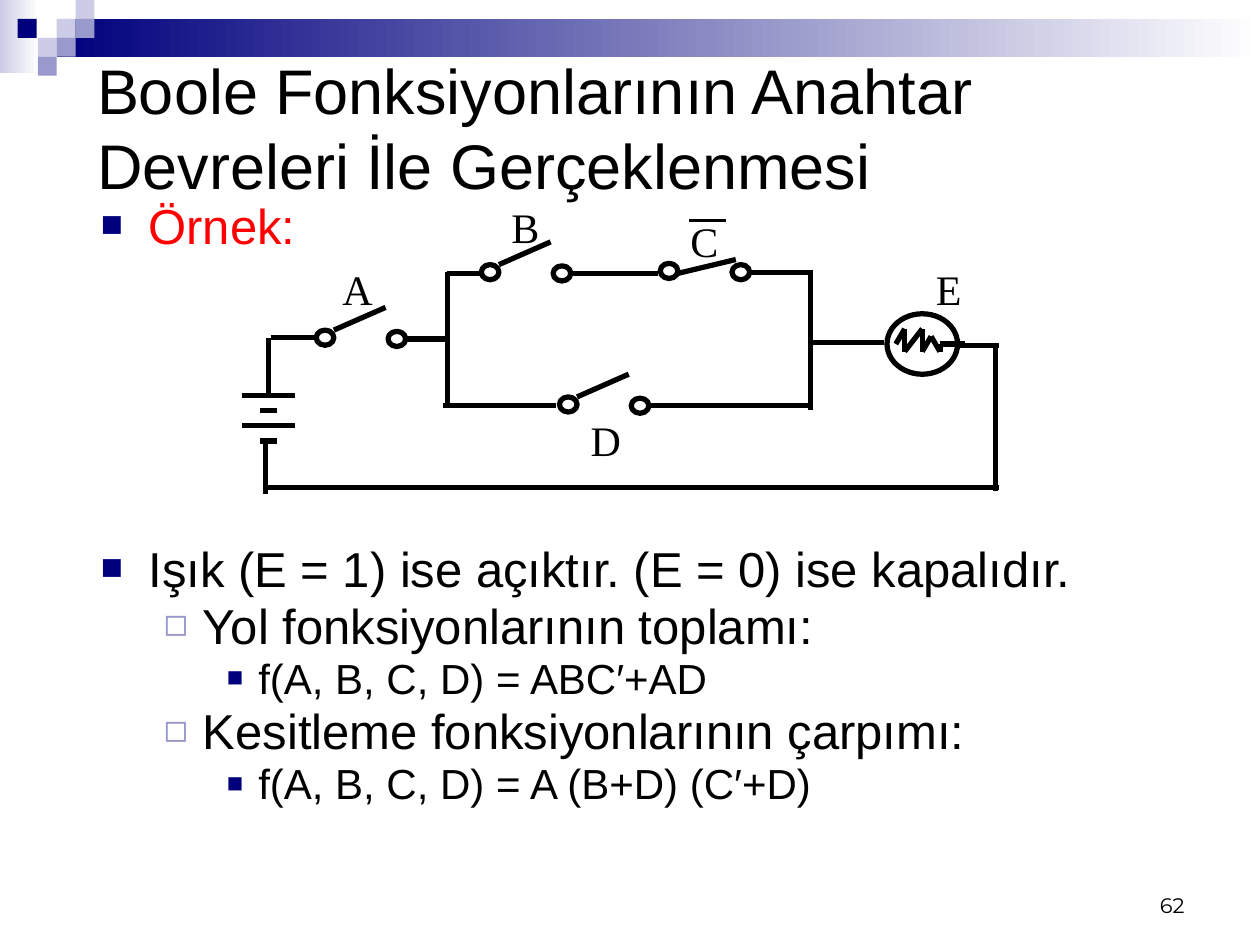
from dataclasses import dataclass
from itertools import pairwise

from lxml.etree import SubElement
from pptx import Presentation
from pptx.dml.color import RGBColor
from pptx.enum.shapes import MSO_CONNECTOR as Connector, MSO_SHAPE as Preset
from pptx.enum.text import MSO_ANCHOR as Anchor, MSO_AUTO_SIZE as AutoSize, PP_ALIGN as Align
from pptx.oxml.ns import qn
from pptx.util import Pt

SCALE = 9144


@dataclass(frozen=True)
class Theme:
    navy: str = "00007D"
    violet: str = "9999CC"
    lavender: str = "CCCCE6"
    white: str = "FFFFFF"
    ink: str = "000000"
    red: str = "FF0000"
    sans: str = "Arial"
    serif: str = "Times New Roman"
    number: str = "Montserrat"
    title_size: int = 36
    body_size: int = 28
    formula_size: int = 24
    label_size: int = 24
    number_size: int = 12
    wire: float = 3
    bar: float = 2.25


THEME = Theme()

BULLETS = [
    ("■", THEME.navy, 75, 38, 38, THEME.body_size),
    ("◻", THEME.violet, 80, 81, 31, THEME.body_size),
    ("■", THEME.navy, 65, 125, 25, THEME.formula_size),
]

BODY = [
    (0, "Örnek:", THEME.red, None),
    (0, "Işık (E = 1) ise açıktır. (E = 0) ise kapalıdır.", THEME.ink, 169),
    (1, "Yol fonksiyonlarının toplamı:", THEME.ink, None),
    (2, "f(A, B, C, D) = ABC′+AD", THEME.ink, None),
    (1, "Kesitleme fonksiyonlarının çarpımı:", THEME.ink, None),
    (2, "f(A, B, C, D) = A (B+D) (C′+D)", THEME.ink, None),
]

OPEN_LEVER = (14, 0, 55, -18)
CLOSED_LEVER = (14, 8, 60, -3)
SWITCHES = [
    (61, 112, OPEN_LEVER),
    (192, 60, OPEN_LEVER),
    (334, 59, CLOSED_LEVER),
    (254, 165, OPEN_LEVER),
]
LABELS = [
    ("A", 72, 54, 44), ("B", 206, 5, 42), ("C", 348, 16, 42),
    ("D", 269, 174, 44), ("E", 543, 54, 41),
]
WIRES = [
    (165, 66, 165, 173), (130, 119, 166, 119), (25, 118, 60, 118),
    (191, 67, 165, 67), (263, 67, 332, 67), (406, 66, 453, 66),
    (453, 64, 453, 175), (251, 172, 162, 172), (324, 172, 454, 172),
    (512, 122, 454, 122), (571, 124, 603, 124), (600, 124, 600, 240),
    (603, 237, 21, 237), (23, 164, 23, 118), (21, 202, 21, 242),
]
FILAMENT = [
    (0, 12), (7, 0), (7, 18), (21, 0), (21, 18), (28, 6), (35, 18), (35, 12), (55, 12),
]


def px(*lengths):
    return [length * SCALE for length in lengths]


def color(value):
    return RGBColor.from_string(value)


def add_run(paragraph, text, font, size, ink):
    run = paragraph.add_run()
    run.text = text
    run.font.name = font
    run.font.size = Pt(size)
    run.font.color.rgb = color(ink)


def place(shape, box):
    shape.left, shape.top, shape.width, shape.height = px(*box)


def add_block(slide, box, fill, fade=None):
    shape = slide.shapes.add_shape(Preset.RECTANGLE, *px(*box))
    shape.shadow.inherit = False
    shape.line.fill.background()
    if fade:
        shape.fill.gradient()
        shape.fill.gradient_angle = 0
        for stop, value in zip(shape.fill.gradient_stops, (fill, fade)):
            stop.color.rgb = color(value)
    else:
        shape.fill.solid()
        shape.fill.fore_color.rgb = color(fill)


def add_wire(slide, left, top, ends, width=THEME.wire):
    x1, y1, x2, y2 = ends
    wire = slide.shapes.add_connector(
        Connector.STRAIGHT, *px(left + x1, top + y1, left + x2, top + y2))
    wire.line.color.rgb = color(THEME.ink)
    wire.line.width = Pt(width)
    SubElement(wire.element.find(qn("p:spPr")), qn("a:effectLst"))


def add_ring(slide, box):
    ring = slide.shapes.add_shape(Preset.OVAL, *px(*box))
    ring.shadow.inherit = False
    ring.fill.background()
    ring.line.color.rgb = color(THEME.ink)
    ring.line.width = Pt(THEME.wire)


def add_switch(slide, left, top, lever):
    for x, y in ((0, 0), (57, 1)):
        add_ring(slide, (left + x, top + y, 14, 12))
    add_wire(slide, left, top, lever)


def add_battery(slide, left, top):
    for row in range(4):
        inset = 14 * (row % 2)
        add_wire(slide, left, top, (inset, 12 * row, 42 - inset, 12 * row))


def add_lamp(slide, left, top):
    add_ring(slide, (left, top, 56, 48))
    for start, end in pairwise(FILAMENT):
        add_wire(slide, left + 7, top + 12, start + end)


def add_label(slide, text, box):
    label = slide.shapes.add_textbox(*px(*box))
    label.text_frame.word_wrap = False
    add_run(label.text_frame.paragraphs[0], text, THEME.serif, THEME.label_size, THEME.ink)


def add_circuit(slide, left, top):
    add_lamp(slide, left + 514, top + 99)
    add_battery(slide, left + 2, top + 164)
    for x, y, lever in SWITCHES:
        add_switch(slide, left + x, top + y, lever)
    for ends in WIRES:
        add_wire(slide, left, top, ends)
    for text, x, y, width in LABELS:
        add_label(slide, text, (left + x, top + y, width, 50))
    add_wire(slide, left, top, (357, 25, 386, 25), THEME.bar)


def add_banner(slide, left, top):
    add_block(slide, (left, top, 31, 58), THEME.lavender, THEME.white)
    add_block(slide, (left + 45, top + 15, 955, 30), THEME.navy, THEME.white)
    for x, y, fill in (
        (45, 15, THEME.lavender), (60, 0, THEME.lavender), (60, 15, THEME.violet),
        (30, 30, THEME.lavender), (14, 15, THEME.navy), (45, 30, THEME.violet),
        (30, 45, THEME.violet),
    ):
        add_block(slide, (left + x, top + y, 15, 15), fill)


def add_page_number(slide, box):
    number = slide.shapes.add_textbox(*px(*box))
    frame = number.text_frame
    frame.word_wrap = True
    frame.vertical_anchor = Anchor.BOTTOM
    frame.paragraphs[0].alignment = Align.RIGHT
    add_run(frame.paragraphs[0], "62", THEME.number, THEME.number_size, THEME.ink)


def bring_forward(shape):
    shape.element.getparent().append(shape.element)


def fill_title(title, box):
    place(title, box)
    bring_forward(title)
    frame = title.text_frame
    frame.auto_size = AutoSize.NONE
    frame.vertical_anchor = Anchor.MIDDLE
    paragraph = frame.paragraphs[0]
    paragraph.alignment = Align.LEFT
    add_run(paragraph, "Boole Fonksiyonlarının Anahtar Devreleri İle Gerçeklenmesi",
            THEME.sans, THEME.title_size, THEME.ink)


def set_bullet(paragraph, character, fill, percent, margin, hanging):
    properties = paragraph._p.get_or_add_pPr()
    properties.set("marL", str(margin * SCALE))
    properties.set("indent", str(-hanging * SCALE))
    bullet_color = SubElement(properties, qn("a:buClr"))
    SubElement(bullet_color, qn("a:srgbClr"), val=fill)
    SubElement(properties, qn("a:buSzPct"), val=str(percent * 1000))
    SubElement(properties, qn("a:buChar"), char=character)


def fill_body(body, box):
    place(body, box)
    bring_forward(body)
    frame = body.text_frame
    frame.auto_size = AutoSize.NONE
    for index, (level, text, ink, gap) in enumerate(BODY):
        paragraph = frame.add_paragraph() if index else frame.paragraphs[0]
        paragraph.level = level
        paragraph.line_spacing = 0.8
        if gap:
            paragraph.space_before = Pt(gap)
        *bullet, size = BULLETS[level]
        set_bullet(paragraph, *bullet)
        add_run(paragraph, text, THEME.sans, size, ink)


def main():
    presentation = Presentation()
    presentation.slide_width, presentation.slide_height = px(1000, 750)
    slide = presentation.slides.add_slide(presentation.slide_layouts[1])
    add_banner(slide, 0, 0)
    add_page_number(slide, (717, 683, 233, 50))
    fill_body(slide.placeholders[1], (70, 159, 850, 550))
    fill_title(slide.shapes.title, (67, 34, 891, 133))
    add_circuit(slide, 190, 150)
    presentation.save("out.pptx")


if __name__ == "__main__":
    main()
